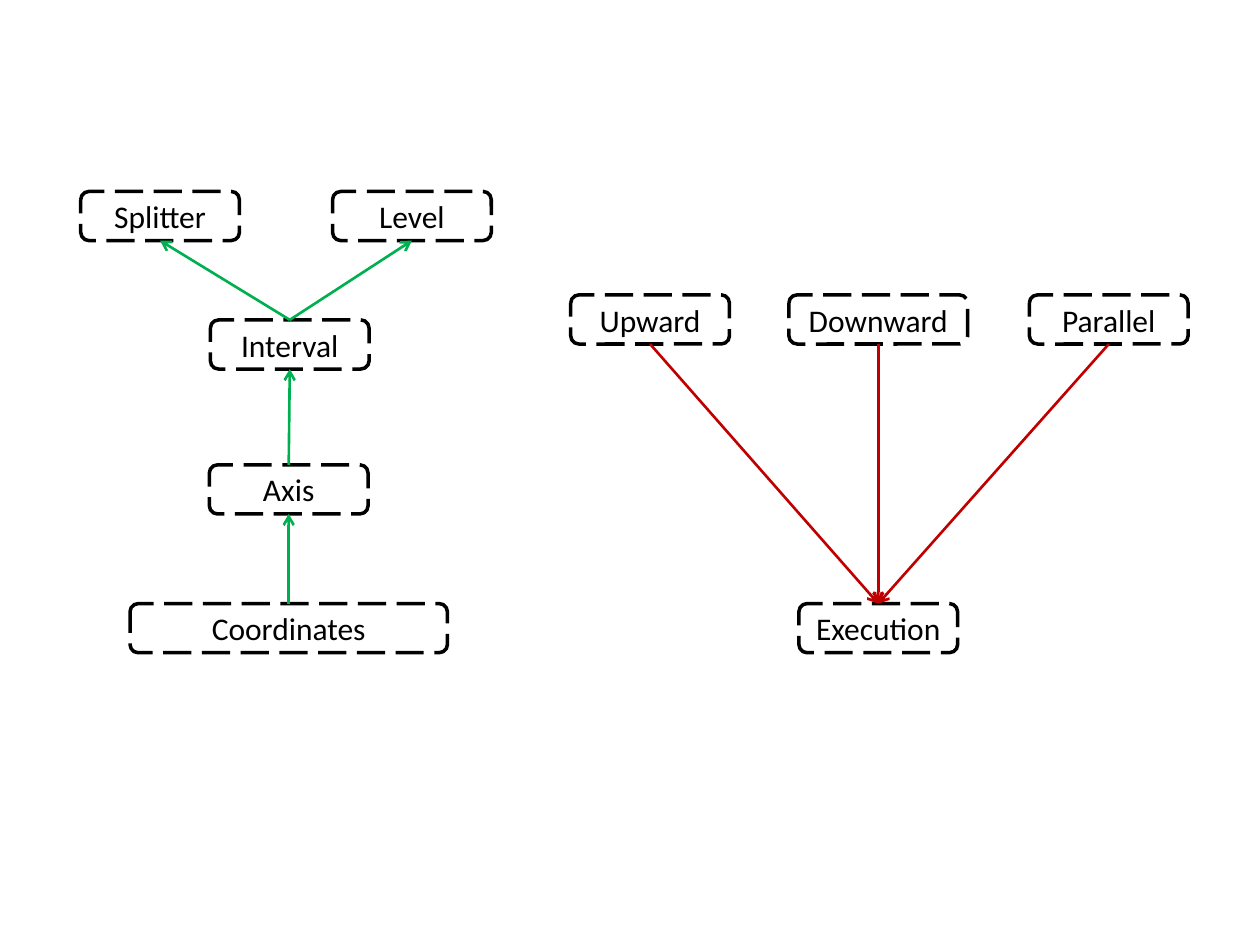
"""Build a slide with two dependency diagrams of dashed boxes and arrows."""
from pptx import Presentation
from pptx.dml.color import RGBColor
from pptx.enum.dml import MSO_LINE
from pptx.enum.shapes import MSO_CONNECTOR, MSO_SHAPE
from pptx.enum.text import MSO_ANCHOR, PP_ALIGN
from pptx.oxml.ns import qn
from pptx.util import Pt
from lxml.etree import SubElement


def paint(color_format, hex_color):
    color_format.rgb = RGBColor.from_string(hex_color)


deck = Presentation()
deck.slide_width, deck.slide_height = Pt(720), Pt(540)
page = deck.slides.add_slide(deck.slide_layouts[6])

BOX_WIDTH, BOX_HEIGHT = 90.7, 28.1
TOP_SITE, BOTTOM_SITE = 0, 2
GREEN, RED = "00B050", "C00000"

nodes = [
    ("Coordinates", 165, 344.9, 2 * BOX_WIDTH),
    ("Axis", 165, 265.6, BOX_WIDTH),
    ("Interval", 165.6, 182.8, BOX_WIDTH),
    ("Splitter", 91.5, 109.4, BOX_WIDTH),
    ("Level", 235.4, 109.4, BOX_WIDTH),
    ("Execution", 501.9, 344.9, BOX_WIDTH),
    ("Upward", 371.5, 168.5, BOX_WIDTH),
    ("Downward", 501.9, 168.5, 102.2),
    ("Parallel", 633.6, 168.5, BOX_WIDTH),
]
boxes = {}
for label, center, top, width in nodes:
    box = page.shapes.add_shape(
        MSO_SHAPE.ROUNDED_RECTANGLE,
        Pt(center - width / 2), Pt(top), Pt(width), Pt(BOX_HEIGHT))
    box.shadow.inherit = False
    box.fill.background()
    box.line.width = Pt(2)
    box.line.dash_style = MSO_LINE.LONG_DASH
    paint(box.line.color, "000000")
    box.text_frame.vertical_anchor = MSO_ANCHOR.MIDDLE
    para = box.text_frame.paragraphs[0]
    para.text = label
    para.alignment = PP_ALIGN.CENTER
    para.font.name = "Calibri"
    para.font.size = Pt(18)
    paint(para.font.color, "000000")
    boxes[label] = box

arrows = [
    ("Interval", TOP_SITE, "Level", BOTTOM_SITE, GREEN),
    ("Interval", TOP_SITE, "Splitter", BOTTOM_SITE, GREEN),
    ("Axis", TOP_SITE, "Interval", BOTTOM_SITE, GREEN),
    ("Coordinates", TOP_SITE, "Axis", BOTTOM_SITE, GREEN),
    ("Upward", BOTTOM_SITE, "Execution", TOP_SITE, RED),
    ("Downward", BOTTOM_SITE, "Execution", TOP_SITE, RED),
    ("Parallel", BOTTOM_SITE, "Execution", TOP_SITE, RED),
]
for source, source_site, target, target_site, color in arrows:
    arrow = page.shapes.add_connector(MSO_CONNECTOR.STRAIGHT, 0, 0, 0, 0)
    arrow.begin_connect(boxes[source], source_site)
    arrow.end_connect(boxes[target], target_site)
    arrow.line.width = Pt(1.5)
    paint(arrow.line.color, color)
    properties = arrow.element.spPr
    SubElement(properties.find(qn("a:ln")), qn("a:tailEnd"), type="arrow")
    SubElement(properties, qn("a:effectLst"))

deck.save("out.pptx")
